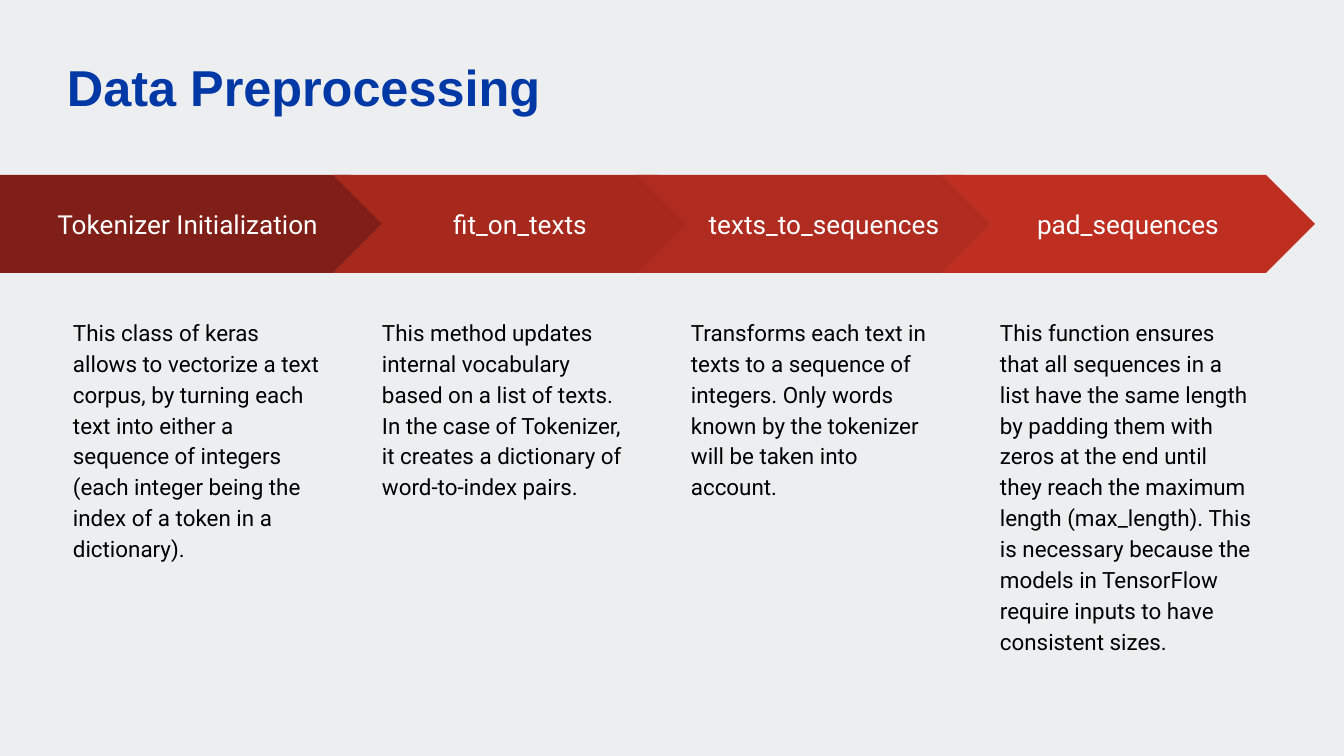
from dataclasses import dataclass

from pptx import Presentation
from pptx.dml.color import RGBColor
from pptx.enum.shapes import MSO_SHAPE as Shape
from pptx.enum.text import MSO_ANCHOR as Anchor, MSO_AUTO_SIZE as AutoSize, PP_ALIGN as Align
from pptx.util import Emu, Pt

# Content: step name, arrow colour, description
TITLE = "Data Preprocessing"
STEPS = [
    ("Tokenizer Initialization", "801F17",
     "This class of keras allows to vectorize a text corpus, by turning each text into "
     "either a sequence of integers (each integer being the index of a token in a dictionary)."),
    ("fit_on_texts", "A7291E",
     "This method updates internal vocabulary based on a list of texts. In the case of "
     "Tokenizer, it creates a dictionary of word-to-index pairs."),
    ("texts_to_sequences", "B02B20",
     "Transforms each text in texts to a sequence of integers. Only words known by the "
     "tokenizer will be taken into account."),
    ("pad_sequences", "BE2F22",
     "This function ensures that all sequences in a list have the same length by padding "
     "them with zeros at the end until they reach the maximum length (max_length). This is "
     "necessary because the models in TensorFlow require inputs to have consistent sizes."),
]


@dataclass(frozen=True)
class Theme:
    background: str = "EDEEEF"
    heading: str = "0039A6"
    step: str = "FFFFFF"
    body: str = "000000"
    heading_font: str = "Arial"
    text_font: str = "Roboto"
    heading_size: int = 27
    step_size: int = 14
    body_size: int = 12


THEME = Theme()

# Layout in px
SLIDE_W, SLIDE_H = 1344, 756
TITLE_BOX = (58, 58, 1261, 110)
ARROW_Y, ARROW_H = 175, 98
FIRST_ARROW_W, ARROW_W = 400, 374
ARROW_LEFT, ARROW_PITCH = 29, 304
BODY_LEFT, BODY_PITCH = 60, 309
BODY_Y, BODY_W, BODY_H = 302, 280, 384
PADDING = 13


def px(length):
    return Emu(round(length * 914400 / 134.4))


def write(frame, text, font_name, size, colour, *, bold=False, align=Align.LEFT,
          anchor=Anchor.TOP, spacing=1.0, pad_x=PADDING, pad_y=PADDING):
    frame.word_wrap = True
    frame.auto_size = AutoSize.NONE
    frame.vertical_anchor = anchor
    frame.margin_left = frame.margin_right = px(pad_x)
    frame.margin_top = frame.margin_bottom = px(pad_y)
    frame.text = text
    paragraph = frame.paragraphs[0]
    paragraph.alignment = align
    paragraph.line_spacing = spacing
    font = paragraph.font
    font.name, font.size, font.bold = font_name, Pt(size), bold
    font.color.rgb = RGBColor.from_string(colour)


def add_step(slide, index, name, colour, description):
    # Arrow: the first starts at the slide edge, the rest overlap at an equal pitch
    if index == 0:
        kind, left, width = Shape.PENTAGON, 0, FIRST_ARROW_W
    else:
        kind, left, width = Shape.CHEVRON, ARROW_LEFT + index * ARROW_PITCH, ARROW_W
    arrow = slide.shapes.add_shape(kind, px(left), px(ARROW_Y), px(width), px(ARROW_H))
    arrow.adjustments[0] = 0.5
    arrow.shadow.inherit = False
    arrow.fill.solid()
    arrow.fill.fore_color.rgb = RGBColor.from_string(colour)
    arrow.line.fill.background()
    write(arrow.text_frame, name, THEME.text_font, THEME.step_size, THEME.step,
          align=Align.CENTER, anchor=Anchor.MIDDLE)

    # Description below
    body = slide.shapes.add_textbox(px(BODY_LEFT + index * BODY_PITCH), px(BODY_Y),
                                    px(BODY_W), px(BODY_H))
    write(body.text_frame, description, THEME.text_font, THEME.body_size, THEME.body,
          spacing=1.15)


def main():
    deck = Presentation()
    deck.slide_width, deck.slide_height = px(SLIDE_W), px(SLIDE_H)
    slide = deck.slides.add_slide(deck.slide_layouts[5])
    slide.background.fill.solid()
    slide.background.fill.fore_color.rgb = RGBColor.from_string(THEME.background)

    # Title
    title = slide.shapes.title
    title.left, title.top, title.width, title.height = map(px, TITLE_BOX)
    write(title.text_frame, TITLE, THEME.heading_font, THEME.heading_size, THEME.heading,
          bold=True, spacing=0.9, pad_x=9, pad_y=5)

    # Process steps
    for index, step in enumerate(STEPS):
        add_step(slide, index, *step)

    deck.save("out.pptx")


if __name__ == "__main__":
    main()
